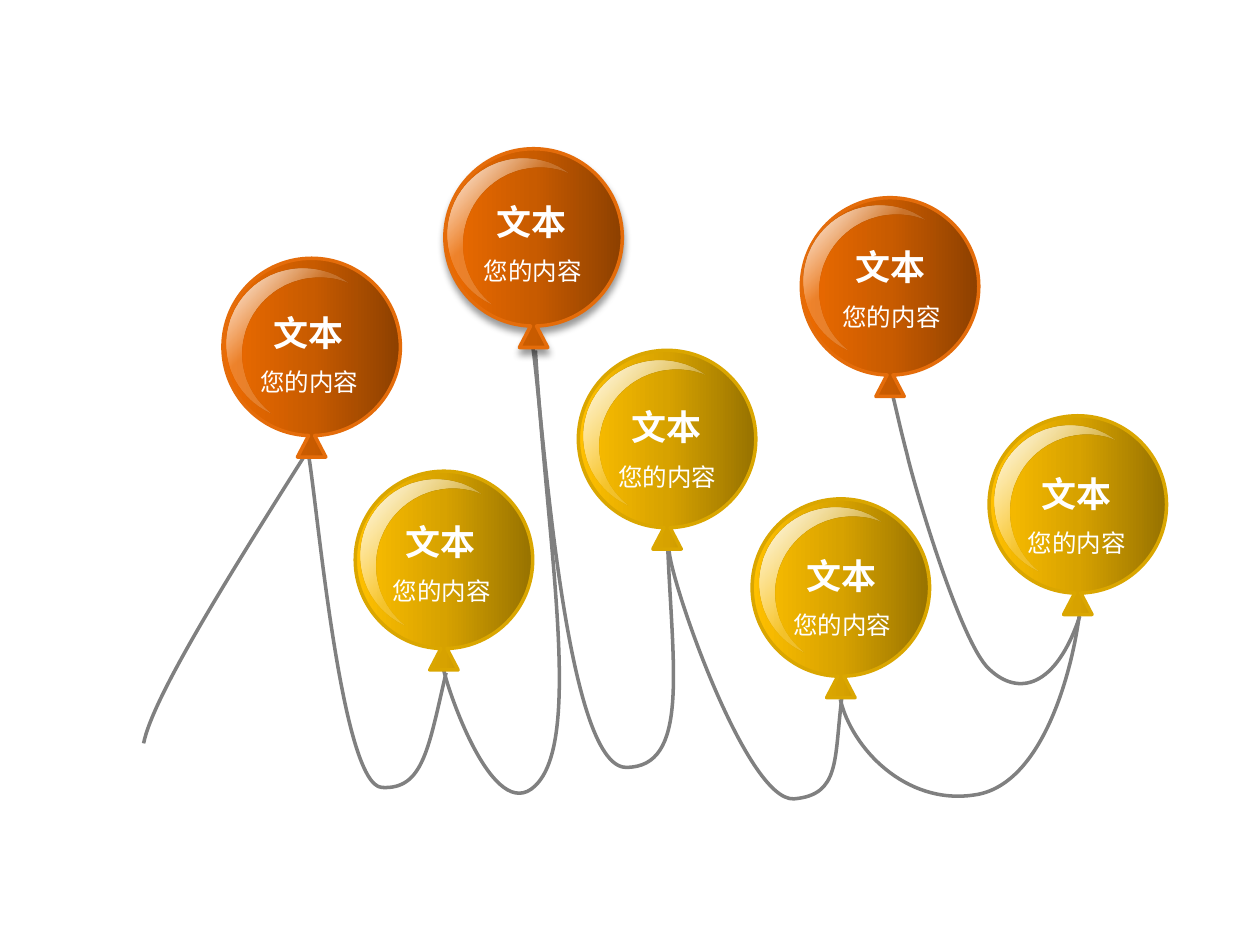
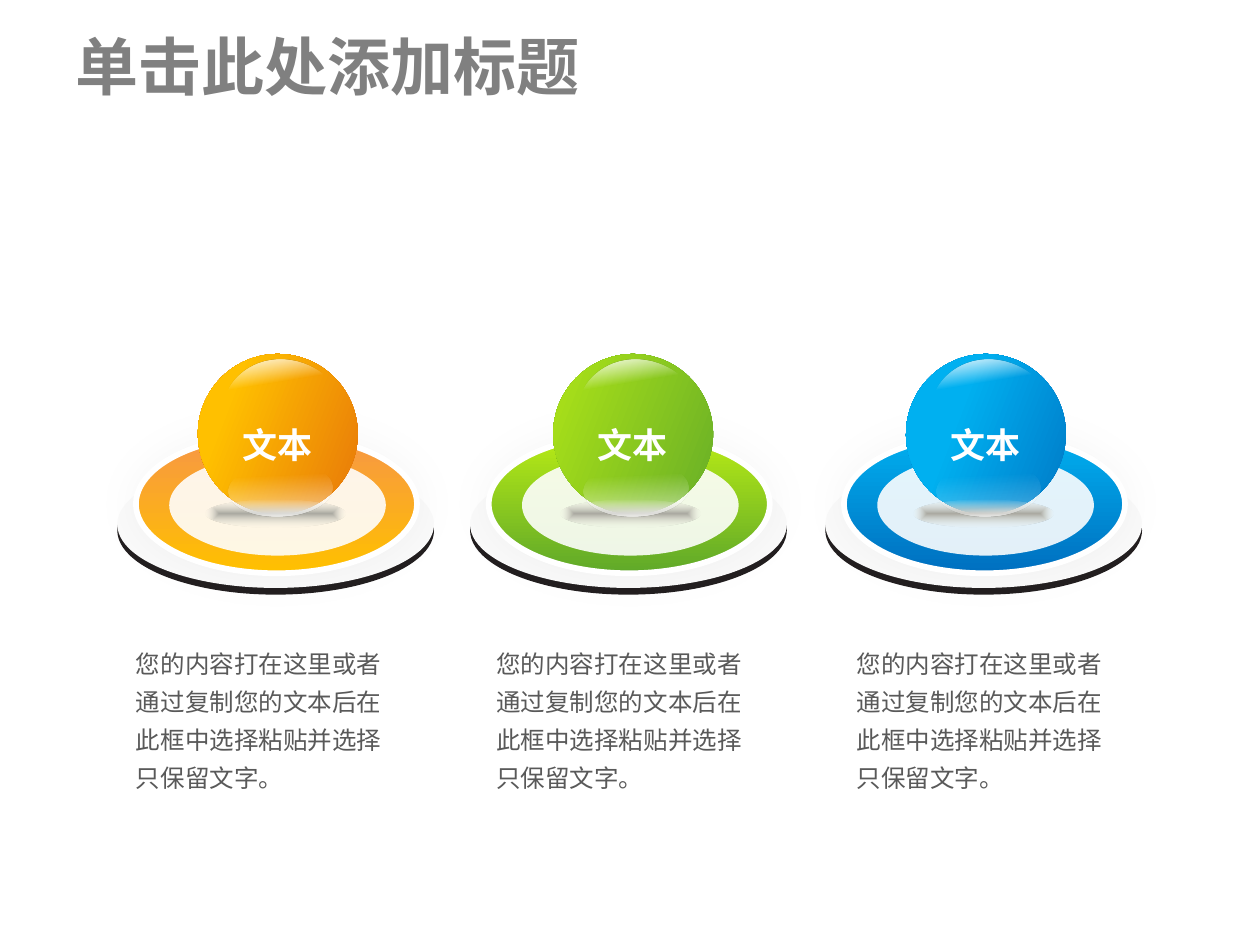
from dataclasses import dataclass

from pptx import Presentation
from pptx.dml.color import RGBColor
from pptx.enum.shapes import MSO_SHAPE
from pptx.enum.text import MSO_ANCHOR, PP_ALIGN
from pptx.oxml import parse_xml
from pptx.oxml.ns import nsdecls, qn
from pptx.util import Pt

ELLIPSE = MSO_SHAPE.OVAL
MIDDLE, TOP = MSO_ANCHOR.MIDDLE, MSO_ANCHOR.TOP
CENTER, LEFT = PP_ALIGN.CENTER, PP_ALIGN.LEFT


@dataclass(frozen=True)
class Theme:
    font: str = "Noto Sans CJK SC"
    white: str = "FFFFFF"
    gray: str = "808080"
    body: str = "595959"
    plate: str = "FAFAFA"
    rim: str = "231F20"
    title_size: float = 36
    label_size: float = 20
    text_size: float = 14
    string_width: float = 2


THEME = Theme()
LABEL = dict(size=THEME.label_size, spacing=24.5, bold=True, color=THEME.white, align=CENTER)
CAPTION = dict(size=THEME.text_size, spacing=21.7, color=THEME.white)
BODY = dict(CAPTION, color=THEME.body)
TITLE = dict(size=THEME.title_size, spacing=47, bold=True, color=THEME.gray,
             anchor=MIDDLE, inset=0)

# Gradient stops are (position, colour, opacity)
ORANGE = dict(stops=[(0, "8D4000", 100), (50, "C85B00", 100), (100, "EE6B00", 100)],
              edge="E46C0A", gloss_end=39)
YELLOW = dict(stops=[(0, "977200", 100), (50, "D7A200", 100), (100, "FFC000", 100)],
              edge="DAA600", gloss_end=55)
SOFT_SHADOW = ("000000", 40, 4, 3, 90)
HALO = ("000000", 4, 25, 0, 45)

# left, top, palette, gloss offset, label offset, shadow
BALLOONS = [
    (127.4, 147.6, ORANGE, (2.2, 5.8), (12.2, 24.5), None),
    (254.2, 85, ORANGE, (1.4, 5.8), (13, 23.8), SOFT_SHADOW),
    (457.9, 113, ORANGE, (1.4, 4.3), (14.4, 21.6), None),
    (203, 269.3, YELLOW, (2.9, 5), (12.2, 22.3), None),
    (330.5, 200.2, YELLOW, (2.9, 5.8), (13.7, 25.9), None),
    (429.8, 285.1, YELLOW, (4.3, 5), (14.4, 25.9), None),
    (565.2, 237.6, YELLOW, (2.9, 5.8), (13, 26.6), None),
]
# Outlines: a start point, then three control points for each curve
STRINGS = [
    [(306, 200.2), (312.5, 308.2), (331.9, 416.2), (308.2, 446.4),
     (284.4, 476.6), (257, 398.2), (253.4, 382.3)],
    [(480.2, 399.6), (486.7, 427.7), (517.7, 460.1), (556.6, 454.3),
     (595.4, 449.3), (612.7, 384.5), (617, 349.9)],
    [(481, 398.9), (476.6, 434.2), (480.2, 454.3), (453.6, 456.5),
     (426.2, 457.9), (381.6, 328.3), (382.3, 313.2)],
    [(617, 352.1), (603.4, 393.1), (581.8, 398.2), (565.2, 382.3),
     (548.6, 367.2), (521.3, 273.6), (518.4, 259.9),
     (513.4, 241.2), (510.5, 225.4), (508.3, 220.3)],
    [(381.6, 313.9), (384.5, 382.3), (393.8, 438.5), (357.8, 438.5),
     (322.6, 438.5), (310.3, 239.8), (304.6, 199.4)],
    [(254.9, 384.5), (244.8, 427.7), (241.9, 451.4), (218.2, 450),
     (195.1, 448.6), (181.4, 289.4), (176.4, 260.6)],
    [(173.5, 261.4), (130.3, 329.8), (87.1, 398.9), (82.1, 424.8)],
]
GLOSS = [(43.2, 0), (53.3, 0), (62, 2.9), (69.5, 8.6),
         (64.4, 6.3), (58.7, 5.2), (52.9, 5.2),
         (28.4, 5.2), (9, 25), (9, 48.8),
         (9, 62.5), (15.5, 74.9), (26, 83),
         (10.4, 76), (0, 61), (0, 43.2),
         (0, 19.4), (19.4, 0), (43.2, 0)]
# Straight edges of the knot repeat their end points
SKIN = [(50.7, 0), (78.7, 0), (101.4, 22.7), (101.4, 50.7),
        (101.4, 78.2), (79.5, 100.5), (52.4, 101.3),
        (52.4, 101.3), (58.8, 113.6), (58.8, 113.6),
        (58.8, 113.6), (42.6, 113.6), (42.6, 113.6),
        (42.6, 113.6), (49, 101.3), (49, 101.3),
        (21.9, 100.5), (0, 78.2), (0, 50.7),
        (0, 22.7), (22.7, 0), (50.7, 0)]

# left, ball offset, ring stops, ball stops, opacity of the lower shine
PEDESTALS = [
    (67.7, 45.4, [(0, "F79646", 100), (99, "FFC000", 100)],
     [(2, "E46C0A", 100), (72, "FFC000", 100)], 41),
    (269.3, 46.8, [(1, "B8EB15", 100), (99, "60A929", 100)],
     [(2, "60A929", 100), (100, "B8EB15", 100)], 41),
    (472.3, 45.4, [(0, "00B0F0", 100), (99, "0070C0", 100)],
     [(2, "0070C0", 100), (63, "00B0F0", 100)], 22),
]
BODY_TEXT = "您的内容打在这里或者通过复制您的文本后在此框中选择粘贴并选择只保留文字。"


def color_xml(color, opacity):
    return f'<a:srgbClr val="{color}"><a:alpha val="{opacity * 1000}"/></a:srgbClr>'


def paint(shape, stops, angle=None, edge=None, width=0, shadow=None):
    """Fill with one colour, a linear gradient, or (no angle) a gradient from the centre."""
    shape.fill.solid()
    if len(stops) == 1:
        xml = f'<a:solidFill {nsdecls("a")}>{color_xml(*stops[0][1:])}</a:solidFill>'
    else:
        marks = "".join(f'<a:gs pos="{pos * 1000}">{color_xml(color, opacity)}</a:gs>'
                        for pos, color, opacity in stops)
        if angle is None:
            course = ('<a:path path="shape"><a:fillToRect l="50000" t="50000" '
                      'r="50000" b="50000"/></a:path>')
        else:
            course = f'<a:lin ang="{angle * 60000}" scaled="0"/>'
        xml = (f'<a:gradFill {nsdecls("a")} rotWithShape="1">'
               f'<a:gsLst>{marks}</a:gsLst>{course}</a:gradFill>')
    props = shape.element.spPr
    props.replace(props.find(qn("a:solidFill")), parse_xml(xml))
    outline(shape, edge, width)
    if shadow:
        color, opacity, blur, distance, direction = shadow
        props.find(qn("a:effectLst")).append(parse_xml(
            f'<a:outerShdw {nsdecls("a")} blurRad="{Pt(blur)}" dist="{Pt(distance)}" '
            f'dir="{direction * 60000}" rotWithShape="0">'
            f'{color_xml(color, opacity)}</a:outerShdw>'))


def outline(shape, edge, width):
    shape.shadow.inherit = False
    if edge:
        shape.line.color.rgb = RGBColor.from_string(edge)
        shape.line.width = Pt(width)
    else:
        shape.line.fill.background()


def add_curves(slide, controls, left=0, top=0, close=True):
    """A freeform whose segments, taken three by three, become cubic curves."""
    placed = [(Pt(left + x), Pt(top + y)) for x, y in controls]
    builder = slide.shapes.build_freeform(*placed[0], scale=1.0)
    builder.add_line_segments(placed[1:], close=close)
    shape = builder.convert_to_shape()
    segments = list(shape.element.spPr.iter(qn("a:lnTo")))
    for i in range(0, len(segments), 3):
        curve = parse_xml(f'<a:cubicBezTo {nsdecls("a")}/>')
        segments[i].addprevious(curve)
        for segment in segments[i:i + 3]:
            curve.append(segment[0])
            segment.getparent().remove(segment)
    return shape


def add_ellipse(slide, box, stops, rotation=0, **style):
    ellipse = slide.shapes.add_shape(ELLIPSE, *map(Pt, box))
    ellipse.rotation = rotation
    paint(ellipse, stops, **style)


def add_text(slide, box, text, size, spacing, color, bold=False, align=LEFT,
             anchor=TOP, inset=5.3):
    words = slide.shapes.add_textbox(*map(Pt, box))
    frame = words.text_frame
    frame_format = dict(word_wrap=True, vertical_anchor=anchor,
                        margin_top=Pt(inset), margin_bottom=Pt(0))
    paragraph = frame.paragraphs[0]
    run = paragraph.add_run()
    run.text = text
    for target, values in (
            (frame, frame_format),
            (paragraph, dict(alignment=align, line_spacing=Pt(spacing))),
            (run.font, dict(name=THEME.font, size=Pt(size), bold=bold))):
        for name, value in values.items():
            setattr(target, name, value)
    run.font.color.rgb = RGBColor.from_string(color)
    run.font._element.append(parse_xml(f'<a:ea {nsdecls("a")} typeface="{THEME.font}"/>'))


def add_string(slide, controls):
    string = add_curves(slide, controls, close=False)
    string.fill.background()
    outline(string, THEME.gray, THEME.string_width)


def add_balloon(slide, left, top, palette, gloss_at, label_at, shadow):
    skin = add_curves(slide, SKIN, left, top)
    paint(skin, palette["stops"], 180, palette["edge"], 2, shadow)
    gloss = add_curves(slide, GLOSS, left + gloss_at[0], top + gloss_at[1])
    paint(gloss, [(0, THEME.white, 100), (palette["gloss_end"], THEME.white, 17)], 45)
    x, y = left + label_at[0], top + label_at[1]
    add_text(slide, (x, y, 73.4, 31.7), "文本", **LABEL)
    add_text(slide, (x + 2, y + 27.5, 73, 27.4), "您的内容", **CAPTION)


def add_pedestal(slide, left, top, ring_stops):
    white = THEME.white
    # Plate with a dark lower rim
    add_ellipse(slide, (left - 0.7, top + 18, 181, 73.4), [(0, THEME.rim, 100)])
    add_ellipse(slide, (left - 0.7, top + 15, 181, 72.6), [(0, THEME.plate, 100)])
    # Coloured ring and its pale centre
    add_ellipse(slide, (left + 10, top, 160.6, 79.2), ring_stops, angle=90,
                edge=white, width=3.25, shadow=HALO)
    add_ellipse(slide, (left + 29, top + 11.5, 123.8, 57.6), [(0, white, 89)])


def add_ball(slide, left, top, ball_stops, shine):
    white = THEME.white
    add_ellipse(slide, (left, top, 91.4, 91.4), ball_stops, 21.1, angle=180)
    # Contact shadow
    add_ellipse(slide, (left + 4.3, top + 83.5, 80, 15.8),
                [(0, "AAA9A1", 100), (100, "EEECE1", 0)])
    # Upper and lower shine
    add_ellipse(slide, (left + 12.4, top + 4.3, 75.6, 69.1),
                [(0, white, 0), (16, white, 87), (30, white, 0)], 35.7, angle=45)
    add_ellipse(slide, (left + 17.3, top + 62, 59.8, 31),
                [(28, white, 0), (78, white, shine), (98, white, 79)], 357.3, angle=90)
    add_text(slide, (left + 3.6, top + 33.8, 83.5, 31.7), "文本", **LABEL)


def build_balloons(slide):
    for controls in STRINGS:
        add_string(slide, controls)
    for balloon in BALLOONS:
        add_balloon(slide, *balloon)


def build_pedestals(slide):
    add_text(slide, (36, 10, 648, 51), "单击此处添加标题", **TITLE)
    for i, (left, ball_offset, ring_stops, ball_stops, shine) in enumerate(PEDESTALS):
        add_pedestal(slide, left, 248.4, ring_stops)
        add_ball(slide, left + ball_offset, 202.3, ball_stops, shine)
        add_text(slide, (70.6 + 205.9 * i, 360.7, 159.1, 95.8), BODY_TEXT, **BODY)


def main():
    deck = Presentation()
    deck.slide_width, deck.slide_height = Pt(720), Pt(540)
    for build in (build_balloons, build_pedestals):
        build(deck.slides.add_slide(deck.slide_layouts[6]))
    deck.save("out.pptx")


if __name__ == "__main__":
    main()
